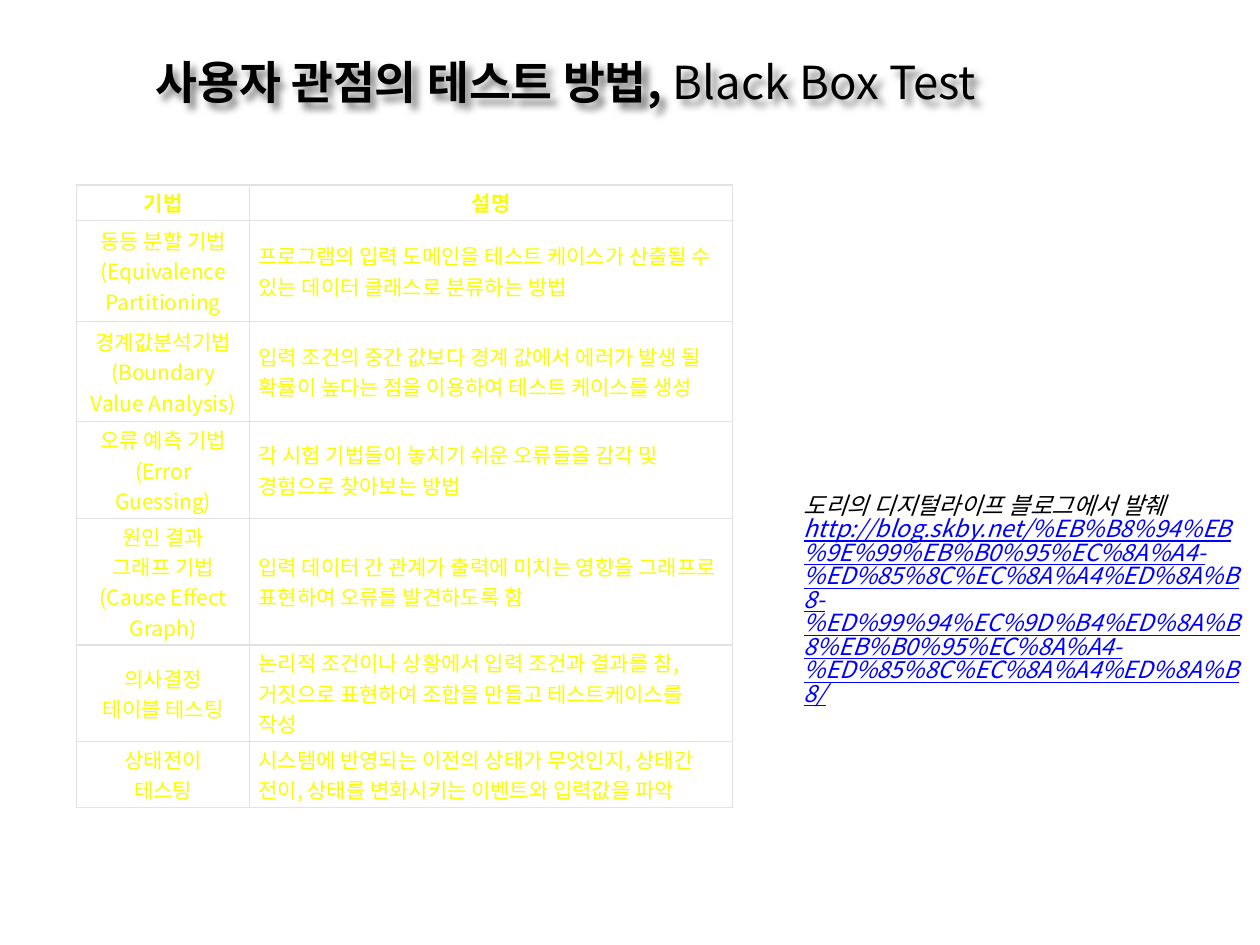
from lxml import etree
from pptx import Presentation
from pptx.dml.color import RGBColor
from pptx.enum.text import MSO_ANCHOR, MSO_AUTO_SIZE, PP_ALIGN
from pptx.oxml import parse_xml
from pptx.oxml.ns import qn
from pptx.util import Cm, Pt

CENTER, LEFT = PP_ALIGN.CENTER, PP_ALIGN.LEFT
MIDDLE = MSO_ANCHOR.MIDDLE
FONT = "Noto Sans CJK KR"
BLACK, YELLOW, LINK, WHITE, GRID = "000000", "FAFD00", "0000FF", "FFFFFF", "E2E2E2"
DRAWING_NS = "http://schemas.openxmlformats.org/drawingml/2006/main"

TITLE = [
    ("사용자 관점의 테스트 방법, ", {"bold": True}),
    ("Black Box Test", {"bold": False}),
]
HEADER = ("기법", "설명")
TECHNIQUES = [
    ("동등 분할 기법\n(Equivalence\nPartitioning",
     "프로그램의 입력 도메인을 테스트 케이스가 산출될 수 있는 데이터 클래스로 분류하는 방법"),
    ("경계값분석기법\n(Boundary\nValue Analysis)",
     "입력 조건의 중간 값보다 경계 값에서 에러가 발생 될 확률이 높다는 점을 이용하여 테스트 케이스를 생성"),
    ("오류 예측 기법\n(Error Guessing)",
     "각 시험 기법들이 놓치기 쉬운 오류들을 감각 및 경험으로 찾아보는 방법"),
    ("원인 결과\n그래프 기법\n(Cause Effect\nGraph)",
     "입력 데이터 간 관계가 출력에 미치는 영향을 그래프로 표현하여 오류를 발견하도록 함"),
    ("의사결정\n테이블 테스팅",
     "논리적 조건이나 상황에서 입력 조건과 결과를 참, 거짓으로 표현하여 조합을 만들고 테스트케이스를 작성"),
    ("상태전이\n테스팅",
     "시스템에 반영되는 이전의 상태가 무엇인지, 상태간 전이, 상태를 변화시키는 이벤트와 입력값을 파악"),
]
COLUMN_WIDTHS = (3.48, 9.74)
ROW_HEIGHTS = (0.66, 2.03, 2.03, 1.65, 2.41, 1.27, 1.27)
SOURCE = [
    ("도리의 디지털라이프 블로그에서 발췌", BLACK, {"italic": True}),
    ("http://blog.skby.net/%EB%B8%94%EB%9E%99%EB%B0%95%EC%8A%A4-"
     "%ED%85%8C%EC%8A%A4%ED%8A%B8-%ED%99%94%EC%9D%B4%ED%8A%B8%EB%B0%95%EC%8A%A4-"
     "%ED%85%8C%EC%8A%A4%ED%8A%B8/", LINK, {"italic": True, "underline": True}),
]


def rgb(color):
    return RGBColor.from_string(color)


def format_run(run, size, color, style):
    font = run.font
    for attribute, value in {"name": FONT, "size": Pt(size), **style}.items():
        setattr(font, attribute, value)
    font.color.rgb = rgb(color)
    properties = run._r.get_or_add_rPr()
    properties.find(qn("a:latin")).addnext(
        parse_xml(f'<a:ea xmlns:a="{DRAWING_NS}" typeface="{FONT}"/>'))


def add_run(paragraph, text, size, color, style):
    run = paragraph.add_run()
    run.text = text
    format_run(run, size, color, style)


def add_borders(cell):
    properties = cell._tc.get_or_add_tcPr()
    for position, side in enumerate(("lnL", "lnR", "lnT", "lnB")):
        line = etree.Element(qn(f"a:{side}"), w=str(Pt(0.75)))
        fill = etree.SubElement(line, qn("a:solidFill"))
        etree.SubElement(fill, qn("a:srgbClr"), val=GRID)
        properties.insert(position, line)


def fill_cell(cell, text, align, bold):
    margins = {"margin_left": Cm(0.18), "margin_right": Cm(0.18),
               "margin_top": Cm(0.05), "margin_bottom": Cm(0.05)}
    for attribute, value in {"vertical_anchor": MIDDLE, **margins}.items():
        setattr(cell, attribute, value)
    cell.fill.solid()
    cell.fill.fore_color.rgb = rgb(WHITE)
    add_borders(cell)
    paragraph = cell.text_frame.paragraphs[0]
    paragraph.text = text.replace("\n", "\v")
    paragraph.alignment = align
    for run in paragraph.runs:
        format_run(run, 12, YELLOW, {"bold": bold})


def add_title(slide):
    title = slide.shapes.title
    title.left, title.top, title.width, title.height = Cm(1.22), Cm(0.69), Cm(20.37), Cm(1.9)
    title.text_frame.vertical_anchor = MIDDLE
    paragraph = title.text_frame.paragraphs[0]
    paragraph.alignment = CENTER
    for text, style in TITLE:
        add_run(paragraph, text, 26, BLACK, style)
    title._element.spPr.append(parse_xml(
        f'<a:effectLst xmlns:a="{DRAWING_NS}">'
        '<a:outerShdw blurRad="50800" dist="50800" dir="2700000">'
        '<a:srgbClr val="000000"><a:alpha val="50000"/></a:srgbClr>'
        '</a:outerShdw></a:effectLst>'))


def add_technique_table(slide):
    rows = [HEADER, *TECHNIQUES]
    table = slide.shapes.add_table(
        len(rows), len(HEADER), Cm(1.55), Cm(3.73),
        Cm(sum(COLUMN_WIDTHS)), Cm(sum(ROW_HEIGHTS))).table
    for column, width in zip(table.columns, COLUMN_WIDTHS):
        column.width = Cm(width)
    for row, height in zip(table.rows, ROW_HEIGHTS):
        row.height = Cm(height)
    for r, texts in enumerate(rows):
        for c, text in enumerate(texts):
            is_header = r == 0
            fill_cell(table.cell(r, c), text, CENTER if is_header or c == 0 else LEFT, is_header)


def add_source(slide):
    frame = slide.shapes.add_textbox(Cm(15.95), Cm(9.86), Cm(9.45), Cm(6.02)).text_frame
    frame.word_wrap = True
    frame.auto_size = MSO_AUTO_SIZE.SHAPE_TO_FIT_TEXT
    paragraph = frame.paragraphs[0]
    paragraph.line_spacing = 0.83
    for text, color, style in SOURCE:
        add_run(paragraph, text, 13.5, color, style)


def main():
    presentation = Presentation()
    presentation.slide_width, presentation.slide_height = Cm(25.4), Cm(19.05)
    slide = presentation.slides.add_slide(presentation.slide_layouts[5])
    add_title(slide)
    add_technique_table(slide)
    add_source(slide)
    presentation.save("out.pptx")


if __name__ == "__main__":
    main()
